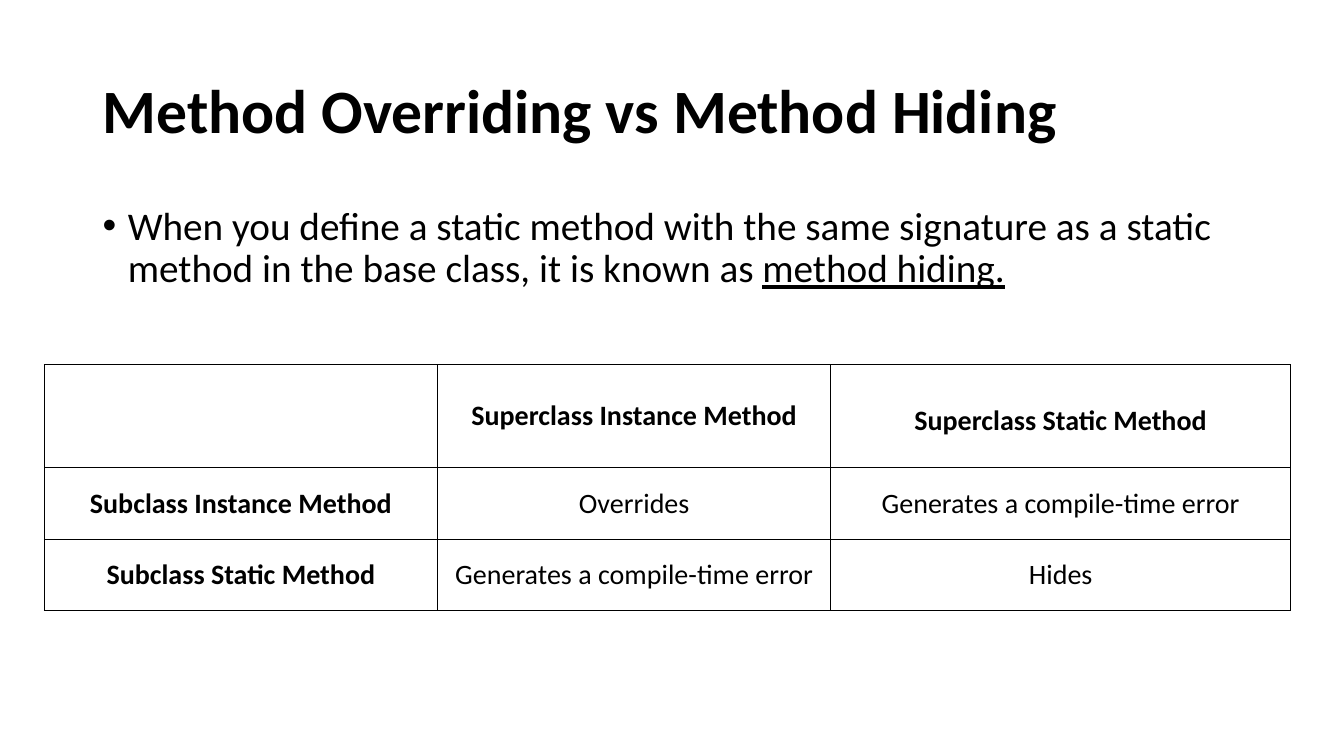
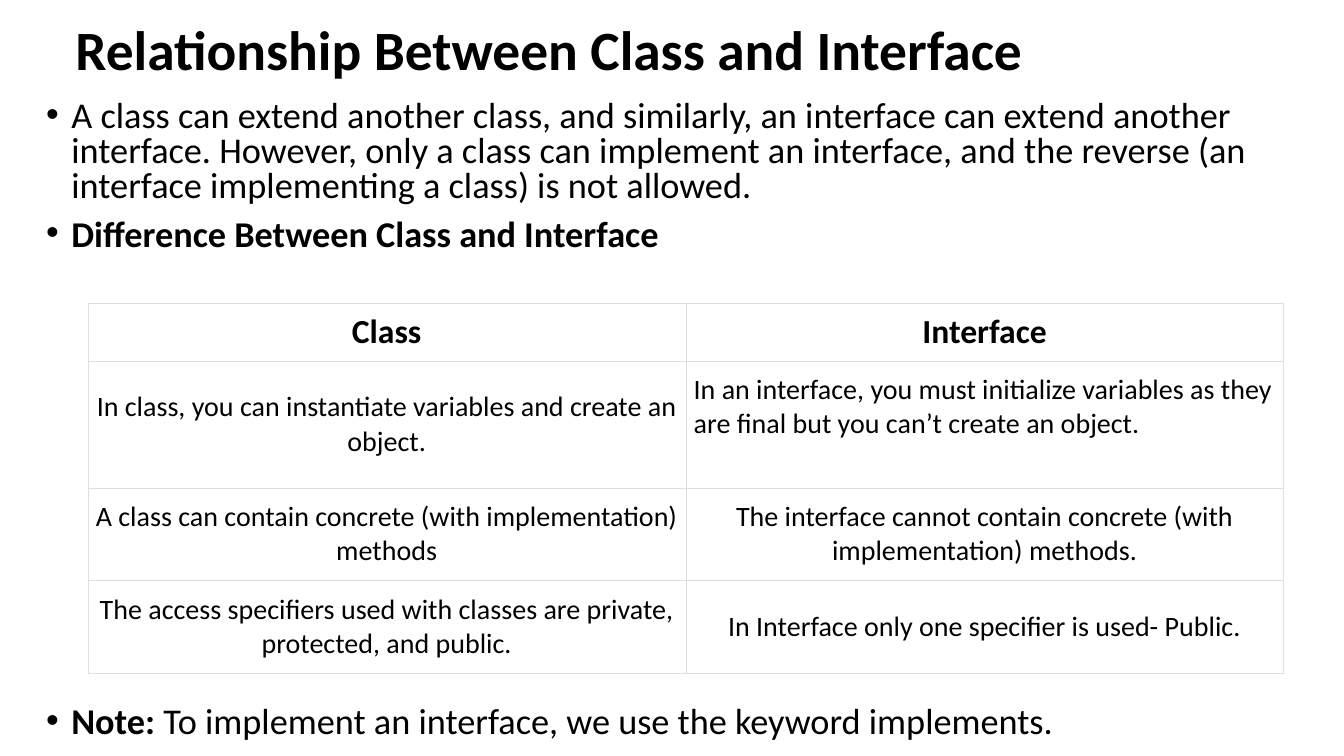
"""Two slides on method hiding and on classes versus interfaces."""
from lxml import etree
from pptx import Presentation
from pptx.dml.color import RGBColor
from pptx.enum.text import MSO_ANCHOR, PP_ALIGN
from pptx.oxml.ns import qn
from pptx.util import Inches, Pt

TOP, MIDDLE = MSO_ANCHOR.TOP, MSO_ANCHOR.MIDDLE
LEFT, CENTER = PP_ALIGN.LEFT, PP_ALIGN.CENTER
BLACK = RGBColor(0x00, 0x00, 0x00)
WHITE = RGBColor(0xFF, 0xFF, 0xFF)
PALE_GRAY = RGBColor(0xDF, 0xDF, 0xDF)
FONT = "Calibri"

SLIDES = [
    {
        "texts": [
            {"box": (0.92, 0.4, 11.5, 1.45), "anchor": MIDDLE, "size": 44, "spacing": 0.9, "bullet": False,
             "paragraphs": [[("Method Overriding vs Method Hiding", {"bold": True})]]},
            {"box": (0.92, 2, 11.5, 1.39), "anchor": TOP, "size": 28, "spacing": 0.9, "bullet": True,
             "paragraphs": [[
                 ("When you define a static method with the same signature as a static method "
                  "in the base class, it is known as ", {}),
                 ("method hiding.", {"underline": True})]]},
        ],
        "table": {
            "origin": (0.44, 3.62), "columns": [3.9, 3.9, 4.56], "rows": [1.02, 0.71, 0.71],
            "border": (BLACK, 1), "header_size": 20, "bold_first_column": True,
            "cells": [
                ["", "Superclass Instance Method", "Superclass Static Method"],
                ["Subclass Instance Method", "Overrides", "Generates a compile-time error"],
                ["Subclass Static Method", "Generates a compile-time error", "Hides"],
            ],
            "top_aligned": {(0, 2): (CENTER, 0.39)},
        },
    },
    {
        "texts": [
            {"box": (0.65, 0.26, 11.5, 0.53), "anchor": MIDDLE, "size": 39.6, "spacing": 0.9, "bullet": False,
             "paragraphs": [[("Relationship Between Class and Interface", {"bold": True})]]},
            {"box": (0.36, 0.95, 12.57, 1.8), "anchor": TOP, "size": 25.9, "spacing": 0.8, "bullet": True,
             "paragraphs": [
                 [("A class can extend another class, and similarly, an interface can extend another "
                   "interface. However, only a class can implement an interface, and the reverse (an "
                   "interface implementing a class) is not allowed.", {})],
                 [("Difference Between Class and Interface", {"bold": True})]]},
            {"box": (0.36, 6.96, 12.57, 0.54), "anchor": TOP, "size": 25.9, "spacing": 0.8, "bullet": True,
             "paragraphs": [[
                 ("Note: ", {"bold": True}),
                 ("To implement an interface, we use the keyword implements.", {})]]},
        ],
        "table": {
            "origin": (0.87, 3.01), "columns": [5.93, 5.93], "rows": [0.57, 1.26, 0.92, 0.92],
            "border": (PALE_GRAY, 0.18), "header_size": 24, "bold_first_column": False,
            "cells": [
                ["Class", "Interface"],
                ["In class, you can instantiate variables and create an object.",
                 "In an interface, you must initialize variables as they are final "
                 "but you can’t create an object."],
                ["A class can contain concrete (with implementation) methods",
                 "The interface cannot contain concrete (with implementation) methods."],
                ["The access specifiers used with classes are private, protected, and public.",
                 "In Interface only one specifier is used- Public."],
            ],
            "top_aligned": {(1, 1): (LEFT, 0.12)},
        },
    },
]


def add_run(paragraph, text, size, **formats):
    run = paragraph.add_run()
    run.text = text
    run.font.color.rgb = BLACK
    for name, value in {"name": FONT, "size": Pt(size), **formats}.items():
        setattr(run.font, name, value)


def add_borders(cell, color, width):
    properties = cell._tc.get_or_add_tcPr()
    for side in ("lnL", "lnR", "lnT", "lnB"):
        line = etree.SubElement(properties, qn(f"a:{side}"), w=str(Pt(width)))
        fill = etree.SubElement(line, qn("a:solidFill"))
        etree.SubElement(fill, qn("a:srgbClr"), val=str(color))


deck = Presentation()
deck.slide_width, deck.slide_height = Inches(13.33), Inches(7.5)

for content in SLIDES:
    slide = deck.slides.add_slide(deck.slide_layouts[6])

    for block in content["texts"]:
        frame = slide.shapes.add_textbox(*map(Inches, block["box"])).text_frame
        frame.word_wrap = True
        frame.vertical_anchor = block["anchor"]
        for index, runs in enumerate(block["paragraphs"]):
            paragraph = frame.add_paragraph() if index else frame.paragraphs[0]
            paragraph.line_spacing = block["spacing"]
            if index:
                paragraph.space_before = Pt(10)
            if block["bullet"]:
                properties = paragraph._p.get_or_add_pPr()
                properties.set("marL", str(Inches(0.25)))
                properties.set("indent", str(Inches(-0.25)))
                etree.SubElement(properties, qn("a:buFont"), typeface="Arial")
                etree.SubElement(properties, qn("a:buChar"), char="•")
            for text, formats in runs:
                add_run(paragraph, text, block["size"], **formats)

    grid = content["table"]
    columns, rows = grid["columns"], grid["rows"]
    table = slide.shapes.add_table(
        len(rows), len(columns), *map(Inches, (*grid["origin"], sum(columns), sum(rows)))).table
    table.first_row = table.horz_banding = False
    for column, width in zip(table.columns, columns):
        column.width = Inches(width)
    for row, height in zip(table.rows, rows):
        row.height = Inches(height)

    for r, texts in enumerate(grid["cells"]):
        for c, text in enumerate(texts):
            cell = table.cell(r, c)
            add_borders(cell, *grid["border"])
            cell.fill.solid()
            cell.fill.fore_color.rgb = WHITE
            alignment, top = grid["top_aligned"].get((r, c), (CENTER, 0.08))
            layout = {
                "vertical_anchor": TOP if (r, c) in grid["top_aligned"] else MIDDLE,
                "margin_left": Inches(0.08), "margin_right": Inches(0.08),
                "margin_top": Inches(top), "margin_bottom": Inches(0.08),
            }
            for name, value in layout.items():
                setattr(cell, name, value)
            paragraph = cell.text_frame.paragraphs[0]
            paragraph.alignment = alignment
            if text:
                bold = r == 0 or (c == 0 and grid["bold_first_column"])
                add_run(paragraph, text, 20 if r else grid["header_size"], bold=bold)

deck.save("out.pptx")
